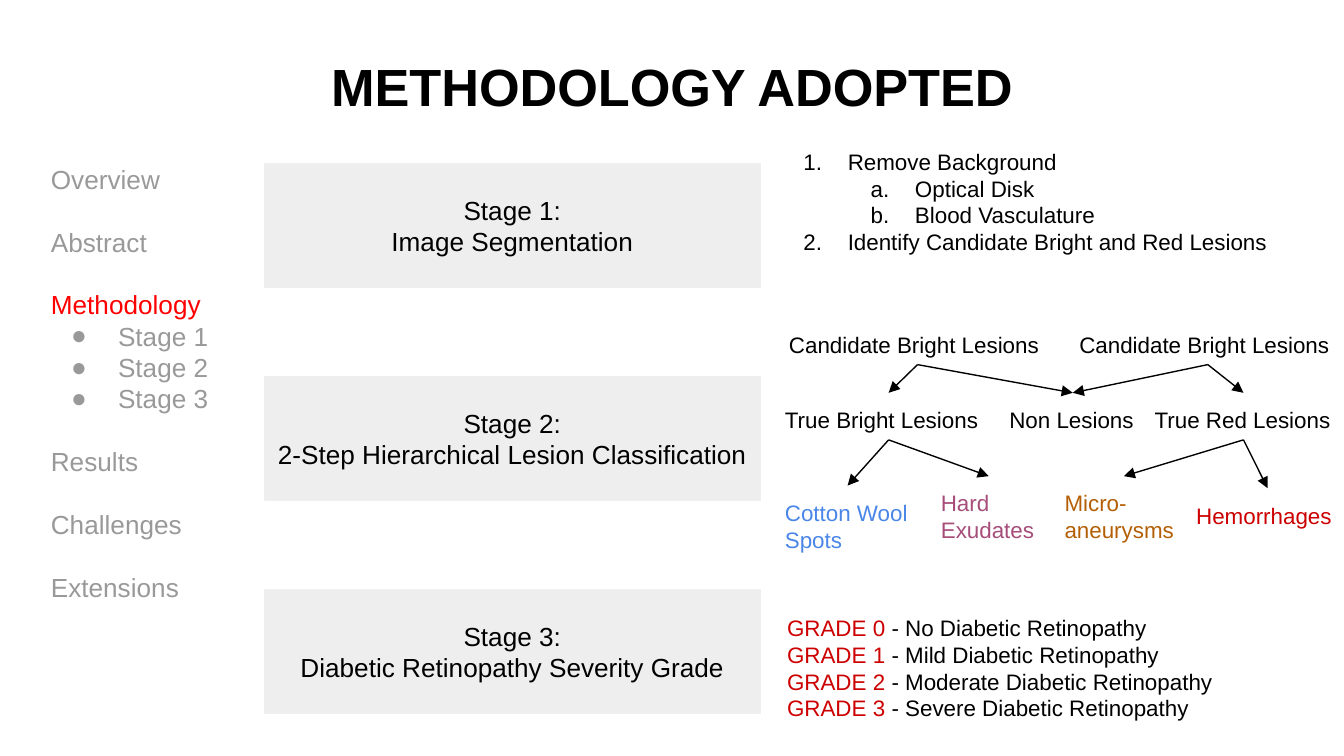
import dataclasses

import lxml.etree
import pptx
import pptx.dml.color
import pptx.enum.shapes
import pptx.enum.text
import pptx.oxml.ns
import pptx.util

COLUMNS, ROWS = 100, 56.25


@dataclasses.dataclass(frozen=True)
class Theme:
    font: str = "Arial"
    title: int = 28
    body: int = 14
    detail: int = 12
    ink: str = "000000"
    muted: str = "999999"
    current: str = "FF0000"
    panel: str = "EEEEEE"
    panel_edge: str = "EFEFEF"
    cotton: str = "4A86E8"
    exudate: str = "A64D79"
    aneurysm: str = "B45F06"
    alert: str = "CC0000"
    rule: float = 0.75
    section_gap: float = 16.8


THEME = Theme()
ALIGN = pptx.enum.text.PP_ALIGN


def grid(*cells):
    return [pptx.util.Inches(cell / 10) for cell in cells]


def rgb(code):
    return pptx.dml.color.RGBColor.from_string(code)


def style(paragraph, size, color=THEME.ink, bold=False):
    paragraph.font.name = THEME.font
    paragraph.font.size = pptx.util.Pt(size)
    paragraph.font.bold = bold
    paragraph.font.color.rgb = rgb(color)


def bullet(paragraph, color, indent, hanging, kind, **marker):
    properties = paragraph._p.get_or_add_pPr()
    properties.set("marL", str(pptx.util.Inches(indent)))
    properties.set("indent", str(-pptx.util.Inches(hanging)))
    tag = pptx.oxml.ns.qn
    tint = lxml.etree.SubElement(properties, tag("a:buClr"))
    lxml.etree.SubElement(tint, tag("a:srgbClr"), val=color)
    lxml.etree.SubElement(properties, tag("a:buFont"), typeface=THEME.font)
    lxml.etree.SubElement(properties, tag(kind), **marker)


def add_lines(frame, lines):
    for index, line in enumerate(lines):
        paragraph = frame.paragraphs[0] if index == 0 else frame.add_paragraph()
        paragraph.add_run().text = line
        yield paragraph


def text_frame(shape, side=0.1):
    frame = shape.text_frame
    frame.word_wrap = True
    frame.margin_left = frame.margin_right = pptx.util.Inches(side)
    frame.margin_top = frame.margin_bottom = pptx.util.Inches(0.1)
    return frame


def label(slide, box, lines, size, color=THEME.ink, bold=False, align=ALIGN.LEFT):
    holder = slide.shapes.add_textbox(*grid(*box))
    for paragraph in add_lines(text_frame(holder), lines):
        paragraph.alignment = align
        style(paragraph, size, color, bold)
    return holder


def add_agenda(slide, box):
    sections = ["Overview", "Abstract", "Methodology", "Stage 1", "Stage 2",
                "Stage 3", "Results", "Challenges", "Extensions"]
    frame = text_frame(slide.shapes.add_textbox(*grid(*box)))
    for paragraph in add_lines(frame, sections):
        name = paragraph.text
        if name.startswith("Stage"):
            bullet(paragraph, THEME.muted, 0.5, 0.35, "a:buChar", char="●")
        elif name != sections[0]:
            paragraph.space_before = pptx.util.Pt(THEME.section_gap)
        style(paragraph, THEME.body,
              THEME.current if name == "Methodology" else THEME.muted)


def add_stages(slide, box):
    left, top, width, height = box
    stages = ["Image Segmentation", "2-Step Hierarchical Lesion Classification",
              "Diabetic Retinopathy Severity Grade"]
    panel_height = 9.2
    pitch = (height - panel_height) / (len(stages) - 1)
    for index, stage in enumerate(stages):
        panel = slide.shapes.add_shape(
            pptx.enum.shapes.MSO_SHAPE.RECTANGLE,
            *grid(left, top + index * pitch, width, panel_height))
        panel.shadow.inherit = False
        panel.fill.solid()
        panel.fill.fore_color.rgb = rgb(THEME.panel)
        panel.line.color.rgb = rgb(THEME.panel_edge)
        panel.line.width = pptx.util.Pt(THEME.rule)
        frame = text_frame(panel, 0.09)
        frame.vertical_anchor = pptx.enum.text.MSO_ANCHOR.MIDDLE
        for paragraph in add_lines(frame, [f"Stage {index + 1}:", stage]):
            paragraph.alignment = ALIGN.CENTER
            style(paragraph, THEME.body)


def add_segmentation_steps(slide, box):
    steps = [("Remove Background", 0), ("Optical Disk", 1), ("Blood Vasculature", 1),
             ("Identify Candidate Bright and Red Lesions", 0)]
    numbering = ["arabicPeriod", "alphaLcPeriod"]
    frame = text_frame(slide.shapes.add_textbox(*grid(*box)))
    paragraphs = add_lines(frame, [step for step, level in steps])
    for paragraph, (step, level) in zip(paragraphs, steps):
        paragraph.level = level
        bullet(paragraph, THEME.ink, 0.5 * (level + 1), 0.33,
               "a:buAutoNum", type=numbering[level])
        style(paragraph, THEME.detail)


def add_branch(slide, parent, child):
    branch = slide.shapes.add_connector(
        pptx.enum.shapes.MSO_CONNECTOR.STRAIGHT, 0, 0, 0, 0)
    branch.begin_connect(parent, 2)
    branch.end_connect(child, 0)
    branch.line.color.rgb = rgb(THEME.ink)
    branch.line.width = pptx.util.Pt(THEME.rule)
    tag = pptx.oxml.ns.qn
    lxml.etree.SubElement(branch.line._get_or_add_ln(), tag("a:tailEnd"), type="triangle")
    lxml.etree.SubElement(branch._element.spPr, tag("a:effectLst"))


def add_lesion_tree(slide, box):
    left, top, width, height = box
    candidates, lesions = 0, 5.6
    nodes = {
        "bright candidates": (0.3, candidates, 21.1, 3.5, ["Candidate Bright Lesions"], THEME.ink),
        "red candidates": (21.9, candidates, 21.1, 3.5, ["Candidate Bright Lesions"], THEME.ink),
        "bright": (0, lesions, 17.4, 3.5, ["True Bright Lesions"], THEME.ink),
        "none": (16.7, lesions, 11.4, 2.5, ["Non Lesions"], THEME.ink),
        "red": (27.5, lesions, 15.2, 3.5, ["True Red Lesions"], THEME.ink),
        "cotton": (0, 12.5, 11.3, 5, ["Cotton Wool", "Spots"], THEME.cotton),
        "exudates": (11.6, 11.8, 9.1, 4, ["Hard", "Exudates"], THEME.exudate),
        "aneurysms": (20.8, 11.8, 10.8, 4, ["Micro-", "aneurysms"], THEME.aneurysm),
        "hemorrhages": (30.6, 12.7, 12.6, 4, ["Hemorrhages"], THEME.alert),
    }
    branches = {
        "bright candidates": ["bright", "none"],
        "red candidates": ["none", "red"],
        "bright": ["cotton", "exudates"],
        "red": ["aneurysms", "hemorrhages"],
    }
    placed = {
        name: label(slide, (left + x, top + y, w, h), lines, THEME.detail, color)
        for name, (x, y, w, h, lines, color) in nodes.items()
    }
    for parent, children in branches.items():
        for child in children:
            add_branch(slide, placed[parent], placed[child])


def add_grades(slide, box):
    severities = ["No", "Mild", "Moderate", "Severe"]
    frame = text_frame(slide.shapes.add_textbox(*grid(*box)))
    grades = [f"GRADE {grade}" for grade in range(len(severities))]
    for paragraph, severity in zip(add_lines(frame, grades), severities):
        style(paragraph, THEME.detail)
        paragraph.runs[0].font.color.rgb = rgb(THEME.alert)
        paragraph.add_run().text = f" - {severity} Diabetic Retinopathy"


def main():
    presentation = pptx.Presentation()
    presentation.slide_width, presentation.slide_height = grid(COLUMNS, ROWS)
    slide = presentation.slides.add_slide(presentation.slide_layouts[6])
    label(slide, (0, 3.04, COLUMNS, 6.3), ["METHODOLOGY ADOPTED"], THEME.title,
          bold=True, align=ALIGN.CENTER)
    add_stages(slide, (19.67, 12.2, 36.9, 40.87))
    add_grades(slide, (57.58, 44.68, 34.3, 9.9))
    add_segmentation_steps(slide, (57.1, 10, 40, 10.7))
    add_lesion_tree(slide, (57.42, 23.63, 43.2, 17.5))
    add_agenda(slide, (2.8, 11.14, 16.2, 34.2))
    presentation.save("out.pptx")


if __name__ == "__main__":
    main()
